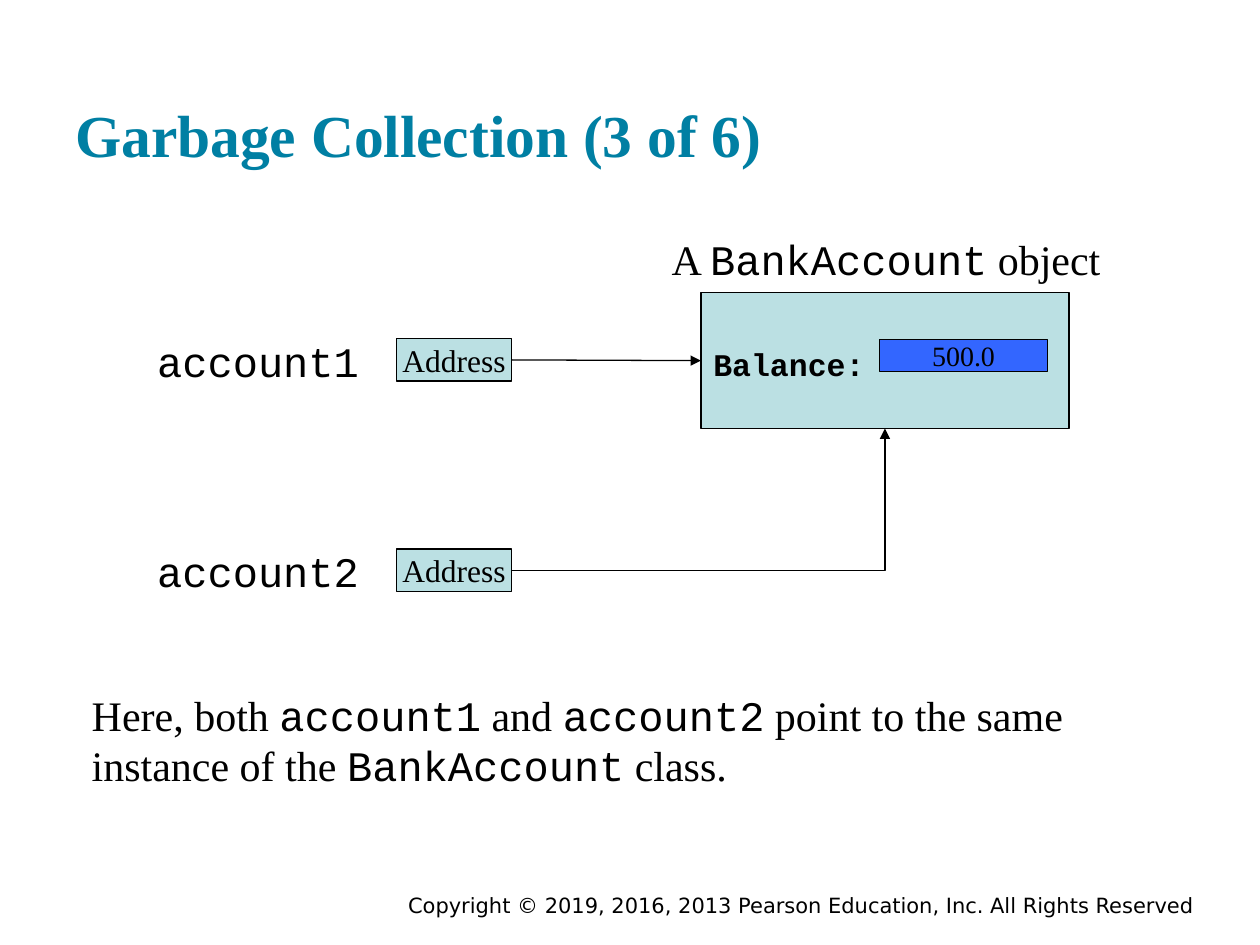
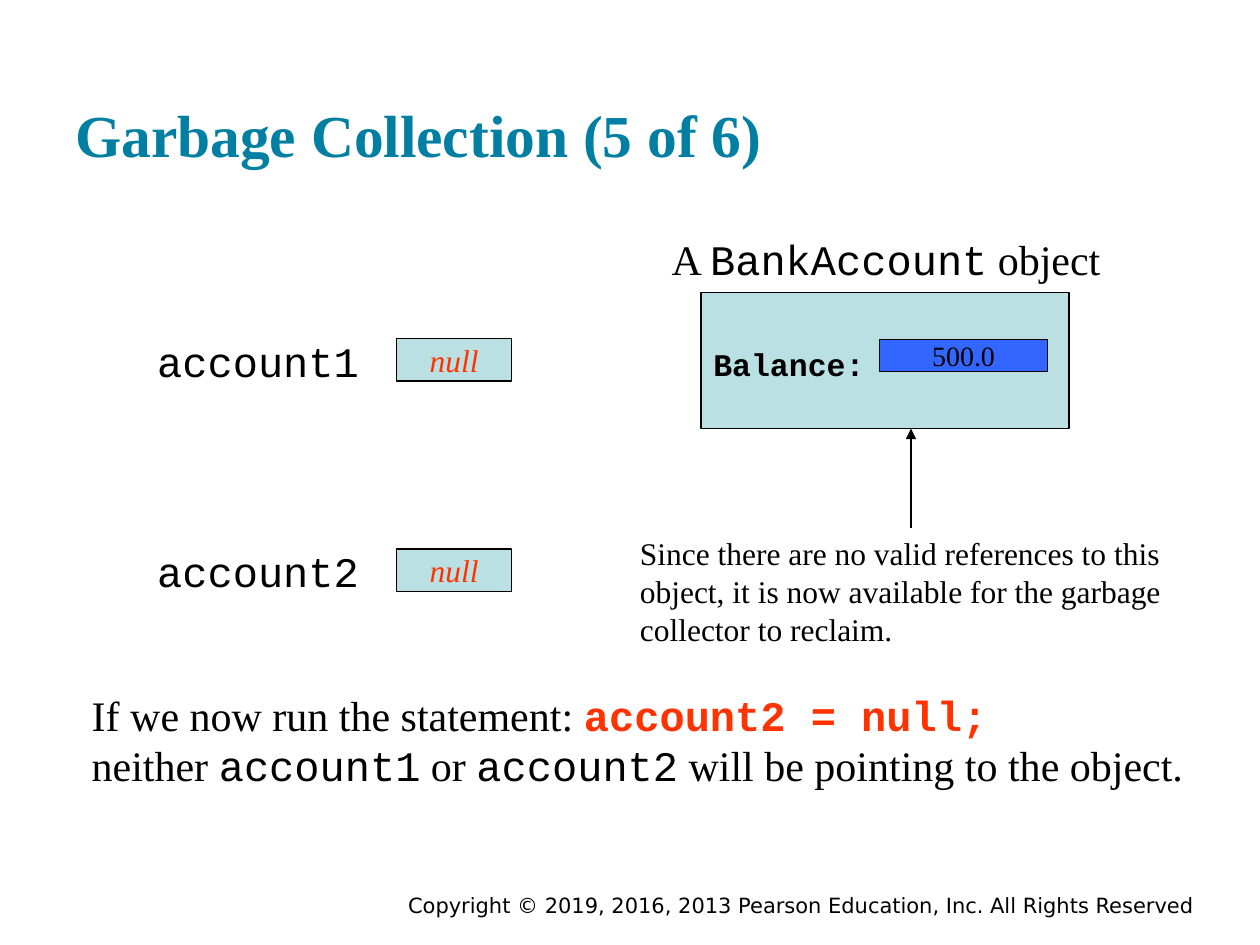
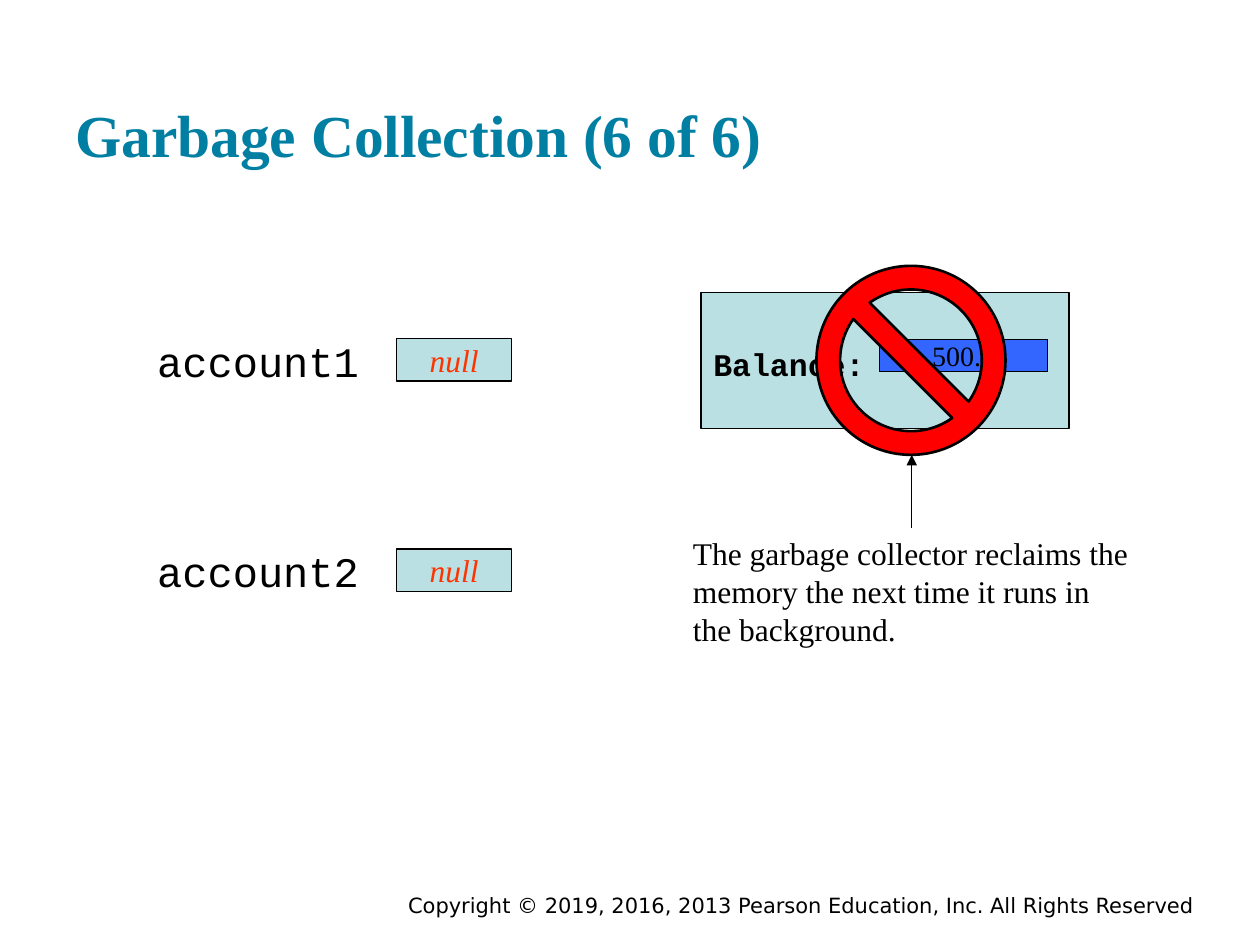
from lxml.etree import SubElement
from pptx import Presentation
from pptx.dml.color import RGBColor
from pptx.enum.shapes import MSO_CONNECTOR as CONN, MSO_SHAPE as SHAPE
from pptx.enum.text import MSO_ANCHOR as ANCHOR, PP_ALIGN as ALIGN
from pptx.oxml.ns import qn
from pptx.util import Cm, Pt

BLACK = RGBColor(0x00, 0x00, 0x00)
TEAL = RGBColor(0x00, 0x7F, 0xA3)
PALE = RGBColor(0xBB, 0xE0, 0xE3)
BLUE = RGBColor(0x33, 0x66, 0xFF)
ORANGE = RGBColor(0xFF, 0x33, 0x00)
RED = RGBColor(0xFF, 0x00, 0x00)

SERIF, MONO, SANS = "Times New Roman", "Courier New", "DejaVu Sans"
BODY = {"name": SERIF, "size": Pt(24), "color": BLACK}
CODE = {**BODY, "name": MONO}
STATEMENT = {**CODE, "color": ORANGE, "bold": True}
SMALL = {**BODY, "size": Pt(18)}
NULL = {**SMALL, "color": ORANGE, "italic": True}
FIELD_NAME = {**SMALL, "name": MONO, "bold": True}
FIELD_VALUE = {**BODY, "size": Pt(16)}
TITLE = {"name": SERIF, "size": Pt(34), "color": TEAL, "bold": True}
FOOTER = {"name": SANS, "size": Pt(12), "color": BLACK}

COPYRIGHT = "Copyright © 2019, 2016, 2013 Pearson Education, Inc. All Rights Reserved"
OBJECT_BOX = (14.13, 5.9, 7.42, 2.74)
SIGN_BOX = (16.46, 5.36, 3.81, 3.81)
VARIABLES = ("account1", "account2")
VARIABLE_LEFT, VARIABLE_TOP, VARIABLE_STEP = 2.92, 6.63, 4.24


def write(shape, paragraphs, align=ALIGN.LEFT, **frame):
    tf = shape.text_frame
    for key, value in {"word_wrap": True, **frame}.items():
        setattr(tf, key, value)
    for i, runs in enumerate(paragraphs):
        p = tf.add_paragraph() if i else tf.paragraphs[0]
        p.alignment = align
        for text, fmt in runs:
            r = p.add_run()
            r.text = text
            for key, value in fmt.items():
                if key == "color":
                    r.font.color.rgb = value
                else:
                    setattr(r.font, key, value)


def add_text(s, box, paragraphs, align=ALIGN.LEFT, **frame):
    tb = s.shapes.add_textbox(*map(Cm, box))
    write(tb, paragraphs, align, **frame)
    return tb


def add_filled(s, kind, box, fill, weight=0.75):
    sp = s.shapes.add_shape(kind, *map(Cm, box))
    sp.shadow.inherit = False
    sp.fill.solid()
    sp.fill.fore_color.rgb = fill
    sp.line.color.rgb = BLACK
    sp.line.width = Pt(weight)
    return sp


def add_arrow(s, start, site, end=(0, 0), target=None, target_site=0, kind=CONN.STRAIGHT):
    cx = s.shapes.add_connector(kind, 0, 0, *map(Cm, end))
    cx.begin_connect(start, site)
    if target is not None:
        cx.end_connect(target, target_site)
    cx.line.color.rgb = BLACK
    cx.line.width = Pt(0.75)
    ln = cx.line._get_or_add_ln()
    SubElement(ln, qn("a:tailEnd"), type="triangle")
    sp_pr = cx._element.spPr
    SubElement(sp_pr, qn("a:effectLst"))
    if kind == CONN.ELBOW:
        sp_pr.find(qn("a:prstGeom")).set("prst", "bentConnector2")


def add_frame(prs, number):
    s = prs.slides.add_slide(prs.slide_layouts[6])
    add_text(s, (4.45, 17.86, 19.88, 0.56), [[(COPYRIGHT, FOOTER)]], ALIGN.RIGHT)
    add_text(s, (1.27, 0.6, 22.86, 3.06), [[(f"Garbage Collection ({number} of 6)", TITLE)]],
             vertical_anchor=ANCHOR.BOTTOM, margin_bottom=Cm(0.25))
    return s


def add_variables(s, left, top, value, fmt):
    cells = []
    for i, name in enumerate(VARIABLES):
        y = top + i * VARIABLE_STEP
        add_text(s, (left, y, 4.65, 1.27), [[(name, CODE)]])
        cell = add_filled(s, SHAPE.RECTANGLE, (left + 5.07, y + 0.2, 2.33, 0.85), PALE)
        write(cell, [[(value, fmt)]], ALIGN.CENTER,
              word_wrap=False, vertical_anchor=ANCHOR.MIDDLE)
        cells.append(cell)
    return cells


def add_object(s, box, captioned=True):
    left, top = box[:2]
    body = add_filled(s, SHAPE.RECTANGLE, box, PALE)
    write(body, [[("Balance:", FIELD_NAME)]],
          vertical_anchor=ANCHOR.MIDDLE, margin_top=Cm(0.25))
    field = add_filled(s, SHAPE.RECTANGLE, (left + 3.6, top + 0.95, 3.39, 0.64), BLUE)
    write(field, [[("500.0", FIELD_VALUE)]], ALIGN.CENTER,
          word_wrap=False, vertical_anchor=ANCHOR.MIDDLE)
    if captioned:
        add_text(s, (left - 0.84, top - 1.32, 9.2, 1.27),
                 [[("A ", BODY), ("BankAccount", CODE), (" object", BODY)]], word_wrap=False)
    return body


def add_note(s, left, width, lines, pointed_box):
    note = add_text(s, (left, 10.64, width, 2.54), [[(line, SMALL)] for line in lines])
    bottom = pointed_box[1] + pointed_box[3]
    add_arrow(s, note, 0, (left + width / 2, bottom))


def add_summary(s, paragraphs):
    add_text(s, (1.6, 13.77, 22.86, 2.29), paragraphs)


def shared_slide(prs):
    s = add_frame(prs, 3)
    body = add_object(s, OBJECT_BOX)
    first, second = add_variables(s, VARIABLE_LEFT, VARIABLE_TOP, "Address", SMALL)
    add_arrow(s, first, 3, target=body, target_site=1)
    add_arrow(s, second, 3, target=body, target_site=2, kind=CONN.ELBOW)
    add_summary(s, [
        [("Here, both ", BODY), ("account1", CODE), (" and ", BODY), ("account2", CODE),
         (" point to the same", BODY)],
        [("instance of the ", BODY), ("BankAccount", CODE), (" class.", BODY)],
    ])


def unreferenced_slide(prs):
    s = add_frame(prs, 5)
    add_object(s, OBJECT_BOX)
    add_variables(s, VARIABLE_LEFT, VARIABLE_TOP, "null", NULL)
    add_note(s, 12.65, 11.43, [
        "Since there are no valid references to this",
        "object, it is now available for the garbage",
        "collector to reclaim.",
    ], OBJECT_BOX)
    add_summary(s, [
        [("If we now run the statement: ", BODY), ("account2 = null;", STATEMENT)],
        [("neither ", BODY), ("account1", CODE), (" or ", BODY), ("account2", CODE),
         (" will be pointing to the object.", BODY)],
    ])


def reclaimed_slide(prs):
    s = add_frame(prs, 6)
    add_variables(s, VARIABLE_LEFT, VARIABLE_TOP, "null", NULL)
    add_object(s, OBJECT_BOX, captioned=False)
    sign = add_filled(s, SHAPE.NO_SYMBOL, SIGN_BOX, RED, 1.5)
    sign.adjustments[0] = 0.125
    add_note(s, 13.72, 9.32, [
        "The garbage collector reclaims the memory the next time it runs in the background.",
    ], SIGN_BOX)


def main():
    prs = Presentation()
    prs.slide_width, prs.slide_height = Cm(25.4), Cm(19.05)
    for build in (shared_slide, unreferenced_slide, reclaimed_slide):
        build(prs)
    prs.save("out.pptx")


if __name__ == "__main__":
    main()
